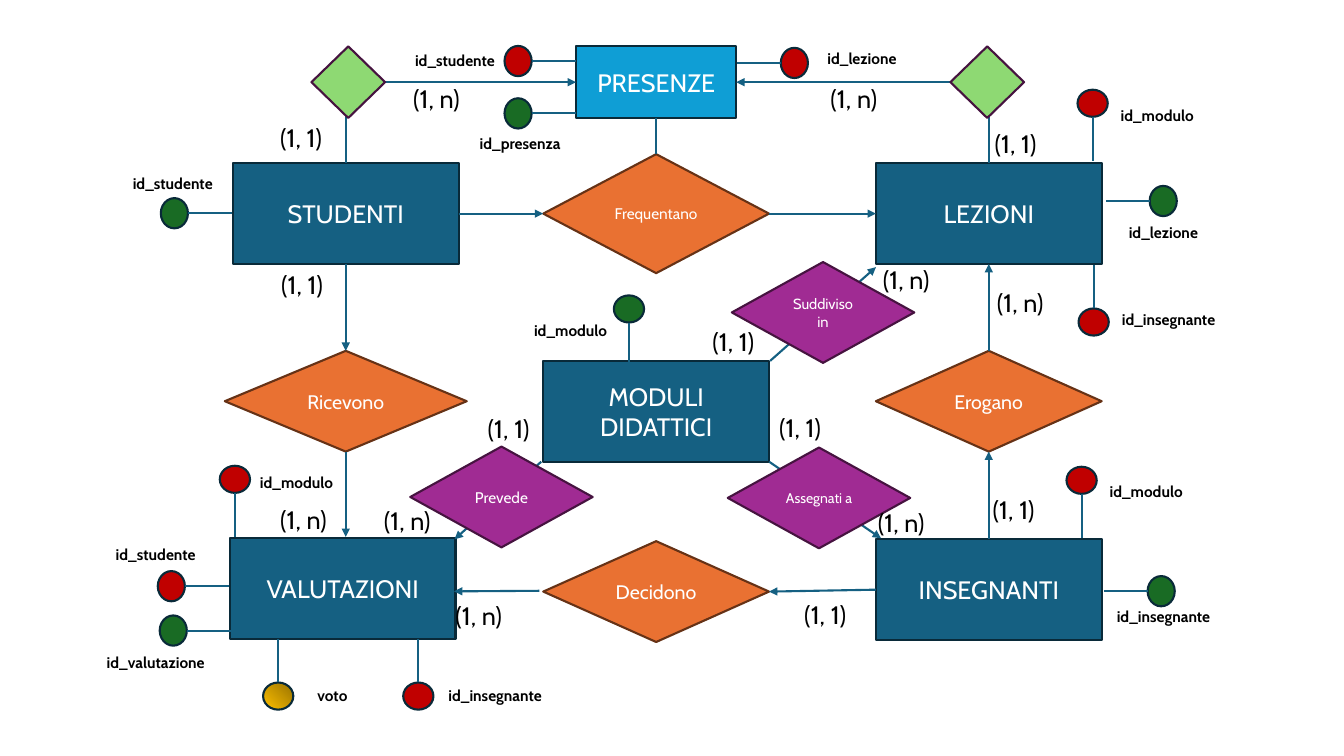
from pptx import Presentation
from pptx import util as u
from pptx.dml import color
from pptx.enum import shapes, text
from pptx.oxml import ns, xmlchemy

Pt = u.Pt
Rgb = color.RGBColor
Kind = shapes.MSO_SHAPE
Link = shapes.MSO_CONNECTOR

WHITE, BLACK = Rgb(0xFF, 0xFF, 0xFF), Rgb(0, 0, 0)
TEAL, NAVY, SKY = Rgb(0x15, 0x60, 0x82), Rgb(0x09, 0x2A, 0x39), Rgb(0x0F, 0x9E, 0xD5)
ORANGE, BROWN = Rgb(0xE9, 0x71, 0x32), Rgb(0x66, 0x32, 0x16)
PURPLE, PLUM, LIME = Rgb(0xA0, 0x2B, 0x93), Rgb(0x46, 0x13, 0x40), Rgb(0x8E, 0xD9, 0x73)
RED, GREEN = Rgb(0xC0, 0, 0), Rgb(0x19, 0x6B, 0x24)
GOLD = (Rgb(0x97, 0x72, 0), Rgb(0xFF, 0xC0, 0))

LEFT, MID, RIGHT = 247, 468.7, 706.3
WIDE, HIGH = 161.3, 72

TABLES = [
    ("STUDENTI", LEFT, 152.6, WIDE, HIGH, TEAL),
    ("INSEGNANTI", RIGHT, 421.2, WIDE, HIGH, TEAL),
    ("MODULI DIDATTICI", MID, 293.8, WIDE, HIGH, TEAL),
    ("VALUTAZIONI", 244.8, 420.5, WIDE, HIGH, TEAL),
    ("LEZIONI", RIGHT, 152.6, WIDE, HIGH, TEAL),
    ("PRESENZE", MID, 58.7, 114.5, 51.1, SKY),
]
VERBS = [
    ("Frequentano", MID, 152.6, WIDE, 85, 11),
    ("Erogano", RIGHT, 286.6, WIDE, HIGH, 14),
    ("Ricevono", LEFT, 286.6, 172.8, HIGH, 14),
    ("Decidono", MID, 422.6, WIDE, HIGH, 14),
]
PARTS = [
    ("Assegnati a", 585, 355.7, 10),
    ("Suddiviso in", 587.9, 223.2, 10.5),
    ("Prevede", 358.2, 355, 11),
]
GEMS = [(248.8, 58.7), (705.2, 58.7)]

JOINS = [
    ("STUDENTI", 3, "Frequentano", 1, True),
    ("Frequentano", 3, "LEZIONI", 1, True),
    ("PRESENZE", 2, "Frequentano", 0, False),
    ("Erogano", 0, "LEZIONI", 2, True),
    ("INSEGNANTI", 0, "Erogano", 2, True),
    ("STUDENTI", 2, "Ricevono", 0, True),
    ("INSEGNANTI", 1, "Decidono", 3, True),
]
BENDS = [("PRESENZE", 1, "STUDENTI", 0), ("PRESENZE", 3, "LEZIONI", 0)]
ARROWS = [
    (LEFT, 322.6, LEFT, 383.5),
    (385.2, 422, 324.3, 422.4),
    (550.1, 257.8, 625.7, 190.8),
    (386.6, 329.8, 324.7, 385.2),
    (549.4, 329.8, 629.3, 384.5),
]

TURNS = {"down": (0, 0, 1), "left": (90, -1, 0), "up": (180, 0, -1), "right": (270, 1, 0)}
DOTS = [
    ("id_studente", 124.6, 152.3, "right", GREEN, 87.8, 121),
    ("id_studente", 122.4, 418.7, "right", RED, 75.6, 385.9),
    ("id_insegnante", 829.4, 422.3, "left", GREEN, 790.6, 429.8),
    ("id_lezione", 830.9, 143.6, "left", GREEN, 799.2, 155.5),
    ("id_studente", 370.1, 43.6, "right", RED, 289.4, 33.1),
    ("id_lezione", 567.4, 45, "left", RED, 583.9, 31.7),
    ("voto", 198.7, 497.2, "up", GOLD, 219.6, 486.7),
    ("id_insegnante", 298.8, 497.2, "up", RED, 313.2, 486.7),
    ("id_presenza", 370.1, 81, "right", GREEN, 335.5, 92.2),
    ("id_modulo", 449.3, 220.7, "down", GREEN, 374.4, 226.1),
    ("id_modulo", 780.5, 73.8, "down", RED, 793.4, 72),
    ("id_modulo", 772.6, 343.1, "down", RED, 785.5, 340.6),
    ("id_modulo", 167.8, 342.4, "down", RED, 178.6, 334.1),
    ("id_valutazione", 123.8, 450.4, "right", GREEN, 69.1, 463),
    ("id_insegnante", 781.2, 230, "up", RED, 794.2, 218.2),
]
WIDTHS = {
    "id_studente": 74.2, "id_insegnante": 85.7, "id_lezione": 65.5, "voto": 36.7,
    "id_presenza": 75.6, "id_modulo": 67.7, "id_valutazione": 87.8,
    "(1, 1)": 53.3, "(1, n)": 54,
}
COUNTS = {
    "(1, 1)": [(193, 83.5), (702, 349.2), (549.4, 290.9), (341.3, 291.6),
               (501.8, 229.7), (193.7, 188.6), (567.4, 424.8), (703.4, 87.8)],
    "(1, n)": [(288, 56.2), (704.9, 201.6), (619.9, 358.6), (623.5, 185),
               (267.1, 357.1), (193, 356.4), (586.1, 56.2), (318.2, 425.5)],
}

deck = Presentation()
deck.slide_width, deck.slide_height = Pt(960), Pt(540)
slide = deck.slides.add_slide(deck.slide_layouts[6])
nodes = {}


def write(frame, words, size, tint, bold=False):
    run = frame.paragraphs[0].add_run()
    run.text = words
    font = run.font
    font.name, font.size, font.bold = "Cabin", Pt(size), bold
    font.color.rgb = tint


def draw(kind, x, y, w, h, fill, edge, words="", size=18):
    item = slide.shapes.add_shape(kind, Pt(x - w / 2), Pt(y - h / 2), Pt(w), Pt(h))
    item.shadow.inherit = False
    if fill is GOLD:
        item.fill.gradient()
        item.fill.gradient_angle = 45
        for stop, tint in zip(item.fill.gradient_stops, GOLD):
            stop.color.rgb = tint
    else:
        item.fill.solid()
        item.fill.fore_color.rgb = fill
    item.line.color.rgb = edge
    item.line.width = Pt(1.5)
    if words:
        frame = item.text_frame
        frame.word_wrap = True
        frame.vertical_anchor = text.MSO_ANCHOR.MIDDLE
        frame.paragraphs[0].alignment = text.PP_ALIGN.CENTER
        write(frame, words, size, WHITE)
        nodes[words] = item
    return item


def wire(ends=(0, 0, 0, 0), tip=None, kind=Link.STRAIGHT):
    line = slide.shapes.add_connector(kind, *map(Pt, ends))
    line.line.color.rgb = TEAL
    line.line.width = Pt(1.5)
    if tip:
        head = xmlchemy.OxmlElement("a:" + tip)
        head.set("type", "triangle")
        line.line._get_or_add_ln().append(head)
    line._element.spPr.append(xmlchemy.OxmlElement("a:effectLst"))
    return line


def join(line, start, side, end, port):
    line.begin_connect(nodes[start], side)
    line.end_connect(nodes[end], port)


def label(words, x, y, h, size, bold=False):
    box = slide.shapes.add_textbox(Pt(x), Pt(y), Pt(WIDTHS[words]), Pt(h))
    box.text_frame.word_wrap = False
    write(box.text_frame, words, size, BLACK, bold)


for name, x, y, w, h, fill in TABLES:
    draw(Kind.RECTANGLE, x, y, w, h, fill, NAVY, name)
for name, x, y, w, h, size in VERBS:
    draw(Kind.DIAMOND, x, y, w, h, ORANGE, BROWN, name, size)

for start, side, end, port, tip in JOINS:
    join(wire(tip="tailEnd" if tip else None), start, side, end, port)
for start, side, end, port in BENDS:
    bend = wire(tip="headEnd", kind=Link.ELBOW)
    bend._element.spPr.find(ns.qn("a:prstGeom")).set("prst", "bentConnector2")
    join(bend, start, side, end, port)
for ends in ARROWS:
    wire(ends, "tailEnd")

for name, x, y, size in PARTS:
    draw(Kind.DIAMOND, x, y, 130.3, HIGH, PURPLE, PLUM, name, size)
for x, y in GEMS:
    draw(Kind.DIAMOND, x, y, 52.6, 51.1, LIME, PLUM)

for name, x, y, way, fill, left, top in DOTS:
    turn, dx, dy = TURNS[way]
    dot = draw(Kind.FLOWCHART_CONNECTOR, x, y, 21.6, 19.4, fill, NAVY)
    dot.rotation = turn
    wire((x + 9.7 * dx, y + 9.7 * dy, x + 41 * dx, y + 41 * dy))
    label(name, left, top, 20.9, 11, True)
for count, spots in COUNTS.items():
    for x, y in spots:
        label(count, x, y, 28.8, 18)

deck.save("out.pptx")
